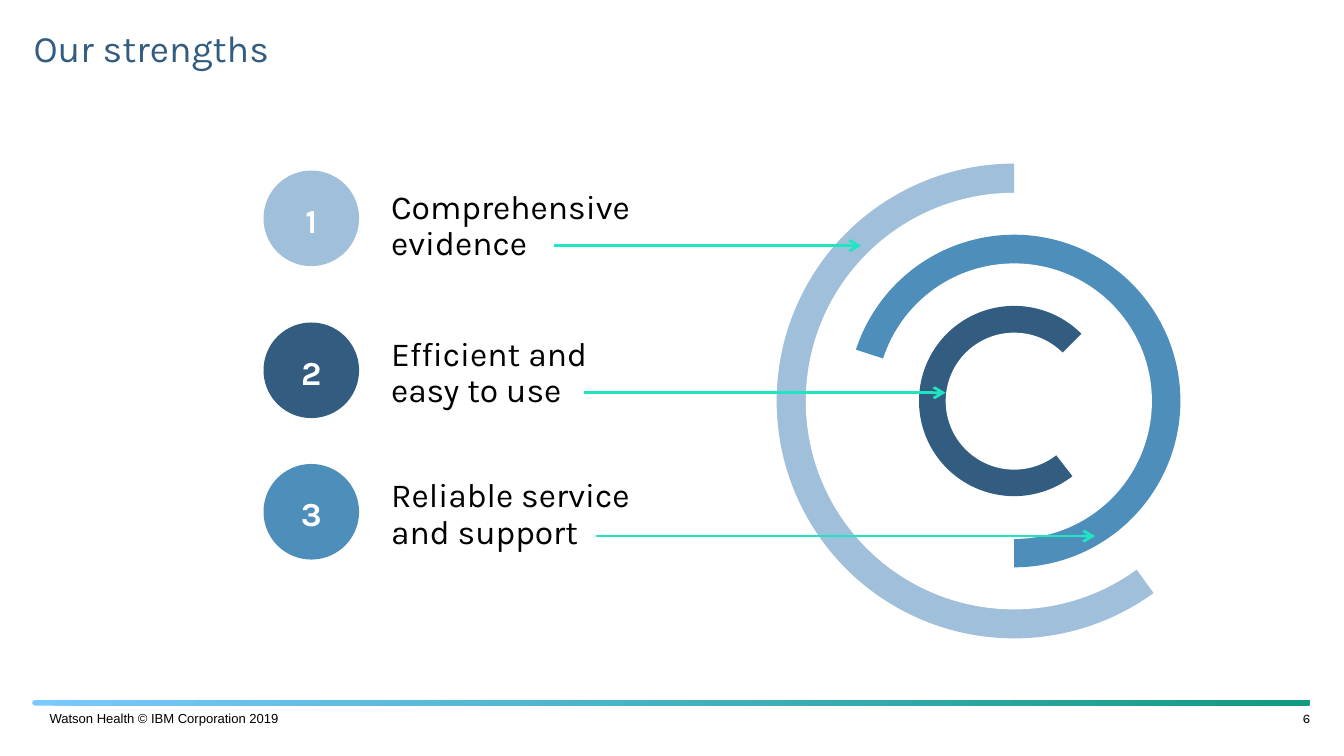
from dataclasses import dataclass

from lxml import etree
from pptx import Presentation
from pptx import util as u
from pptx.chart import data as cd
from pptx.dml.color import RGBColor
from pptx.enum import chart as ch
from pptx.enum import shapes, text
from pptx.oxml import parse_xml
from pptx.oxml.ns import nsdecls, qn

Pt = u.Pt


@dataclass(frozen=True)
class Theme:
    light: str = "A0BFDA"
    mid: str = "4E8EBA"
    dark: str = "325C80"
    arrow: str = "20E4C2"
    ink: str = "000000"
    paper: str = "FFFFFF"
    bar_start: str = "7AC8FF"
    bar_end: str = "139A83"
    font: str = "Karla"
    footer_font: str = "Arial"
    title_size: float = 20
    body_size: float = 18
    chart_size: float = 10
    footer_size: float = 7


@dataclass(frozen=True)
class Ring:
    diameter: float
    hole: float
    gap: int
    start: int
    color: str


@dataclass(frozen=True)
class Strength:
    label: str
    color: str
    top: float
    label_top: float
    label_width: float
    arrow_y: float
    arrow_start: float
    arrow_end: float


T = Theme()
RING_X, RING_Y = 543.3, 214.9
CIRCLE_LEFT, CIRCLE_SIZE = 141.2, 51.2
LABEL_LEFT, LABEL_HEIGHT = 209.5, 26
NUMBER_DROP, NUMBER_HEIGHT = 12, 29

RINGS = (
    Ring(257, 223.2, 40, 0, T.light),
    Ring(180, 147.6, 30, 180, T.mid),
    Ring(103, 73.4, 27, 45, T.dark),
)
STRENGTHS = (
    Strength("Comprehensive evidence", T.light, 91.4, 108.5, 130.3, 131.6, 296.8, 461.4),
    Strength("Efficient and easy to use", T.dark, 172.8, 187.3, 122.4, 210.4, 312.7, 506.6),
    Strength("Reliable service and support", T.mid, 248.6, 263, 130.3, 287.2, 319.2, 586.7),
)


def rgb(color: str) -> RGBColor:
    return RGBColor.from_string(color)


def style(p, size: float, color: str, font: str = T.font, bold: bool = False) -> None:
    p.font.size = Pt(size)
    p.font.name = font
    p.font.bold = bold
    p.font.color.rgb = rgb(color)


def clear_insets(tf) -> None:
    tf.margin_left = tf.margin_right = tf.margin_top = tf.margin_bottom = 0


def add_text(s, words: str, left: float, top: float, width: float, height: float,
             anchor=text.MSO_ANCHOR.MIDDLE, align=text.PP_ALIGN.LEFT):
    tf = s.shapes.add_textbox(Pt(left), Pt(top), Pt(width), Pt(height)).text_frame
    tf.word_wrap = True
    tf.vertical_anchor = anchor
    clear_insets(tf)
    p = tf.paragraphs[0]
    p.text = words
    p.alignment = align
    return p


def add_circle(s, left: float, top: float, size: float, color: str) -> None:
    sp = s.shapes.add_shape(shapes.MSO_SHAPE.OVAL, Pt(left), Pt(top), Pt(size), Pt(size))
    sp.shadow.inherit = False
    sp.fill.solid()
    sp.fill.fore_color.rgb = rgb(color)
    sp.line.fill.background()


def add_ring(s, ring: Ring) -> None:
    data = cd.CategoryChartData()
    data.categories = ["1", "2"]
    data.add_series("Series 1", (ring.gap, 100 - ring.gap))
    radius = ring.diameter / 2
    chart = s.shapes.add_chart(
        ch.XL_CHART_TYPE.PIE, Pt(RING_X - radius), Pt(RING_Y - radius),
        Pt(ring.diameter), Pt(ring.diameter), data).chart
    chart.has_title = False
    chart.has_legend = False
    chart.font.size = Pt(T.chart_size)
    chart.font.name = T.footer_font
    chart.font.color.rgb = rgb(T.ink)
    plot = chart.plots[0]
    plot.vary_by_categories = False
    for i, color in enumerate((T.paper, ring.color)):
        point = plot.series[0].points[i].format
        point.fill.solid()
        point.fill.fore_color.rgb = rgb(color)
        point.line.fill.background()

    space = chart._chartSpace
    space.find(qn("c:chart")).addnext(parse_xml(
        f'<c:spPr {nsdecls("c", "a")}><a:noFill/><a:ln><a:noFill/></a:ln></c:spPr>'))
    area = space.find(".//" + qn("c:plotArea"))
    for old in area.findall(qn("c:layout")):
        area.remove(old)
    area.insert(0, parse_xml(
        f'<c:layout {nsdecls("c")}><c:manualLayout><c:layoutTarget val="inner"/>'
        '<c:xMode val="edge"/><c:yMode val="edge"/><c:x val="0.005"/><c:y val="0.005"/>'
        '<c:w val="0.99"/><c:h val="0.99"/></c:manualLayout></c:layout>'))
    pie = area.find(qn("c:pieChart"))
    for old in pie.findall(qn("c:firstSliceAng")):
        pie.remove(old)
    etree.SubElement(pie, qn("c:firstSliceAng")).set("val", str(ring.start))

    add_circle(s, RING_X - ring.hole / 2, RING_Y - ring.hole / 2, ring.hole, T.paper)


def add_arrow(s, start: float, end: float, y: float) -> None:
    line = s.shapes.add_connector(
        shapes.MSO_CONNECTOR.STRAIGHT, Pt(start), Pt(y), Pt(end), Pt(y))
    line.line.color.rgb = rgb(T.arrow)
    line.line.width = Pt(1.5)
    etree.SubElement(line.line._get_or_add_ln(), qn("a:tailEnd")).set("type", "arrow")
    etree.SubElement(line._element.spPr, qn("a:effectLst"))


def add_strength(s, number: int, item: Strength) -> None:
    add_circle(s, CIRCLE_LEFT, item.top, CIRCLE_SIZE, item.color)
    p = add_text(s, item.label, LABEL_LEFT, item.label_top, item.label_width, LABEL_HEIGHT)
    p.line_spacing = 0.9
    style(p, T.body_size, T.ink)
    p = add_text(s, str(number), CIRCLE_LEFT, item.top + NUMBER_DROP, CIRCLE_SIZE,
                 NUMBER_HEIGHT, align=text.PP_ALIGN.CENTER)
    style(p, T.body_size, T.paper, bold=True)
    add_arrow(s, item.arrow_start, item.arrow_end, item.arrow_y)


def add_title(s, words: str) -> None:
    title = s.shapes.title
    title.left, title.top, title.width, title.height = Pt(18), Pt(13.7), Pt(667.4), Pt(41)
    tf = title.text_frame
    tf.auto_size = text.MSO_AUTO_SIZE.NONE
    tf.vertical_anchor = text.MSO_ANCHOR.TOP
    clear_insets(tf)
    p = tf.paragraphs[0]
    p.text = words
    p.alignment = text.PP_ALIGN.LEFT
    style(p, T.title_size, T.dark)


def add_footer(s) -> None:
    bar = s.shapes.add_shape(
        shapes.MSO_SHAPE.ROUNDED_RECTANGLE, Pt(17.3), Pt(375.1), Pt(684.7), Pt(2.9))
    bar.adjustments[0] = 0.5
    bar.shadow.inherit = False
    bar.line.fill.background()
    bar.fill.gradient()
    bar.fill.gradient_angle = 0
    stops = zip(bar.fill.gradient_stops, (T.bar_start, T.bar_end), (0, 0.99))
    for stop, color, position in stops:
        stop.color.rgb = rgb(color)
        stop.position = position
    bottom = text.MSO_ANCHOR.BOTTOM
    p = add_text(s, "Watson Health © IBM Corporation 2019", 26.6, 373.7, 277.2, 15.1, bottom)
    style(p, T.footer_size, T.ink, T.footer_font)
    p = add_text(s, "6", 685.4, 373, 16.6, 15.8, bottom, text.PP_ALIGN.RIGHT)
    style(p, T.footer_size, T.ink)


def main() -> None:
    prs = Presentation()
    prs.slide_width, prs.slide_height = Pt(720), Pt(405)
    s = prs.slides.add_slide(prs.slide_layouts[5])
    add_footer(s)
    add_title(s, "Our strengths")
    for ring in RINGS:
        add_ring(s, ring)
    for number, item in enumerate(STRENGTHS, 1):
        add_strength(s, number, item)
    prs.save("out.pptx")


if __name__ == "__main__":
    main()
